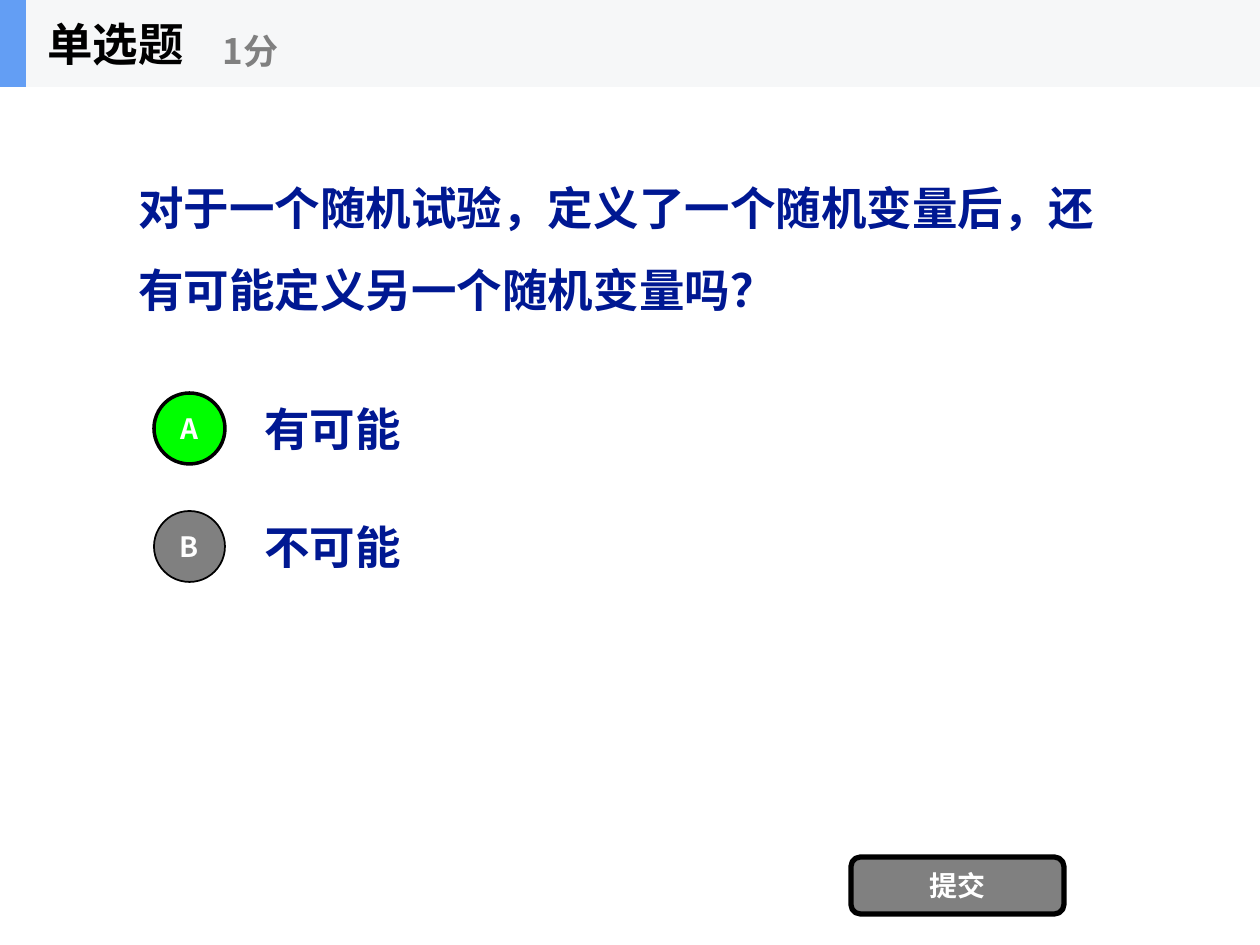
from lxml import etree
from pptx import Presentation
from pptx.dml.color import RGBColor
from pptx.enum.shapes import MSO_SHAPE
from pptx.enum.text import MSO_ANCHOR, PP_ALIGN
from pptx.oxml.ns import qn
from pptx.util import Pt

RECT = MSO_SHAPE.RECTANGLE
OVAL = MSO_SHAPE.OVAL
ROUNDED = MSO_SHAPE.ROUNDED_RECTANGLE
MIDDLE = MSO_ANCHOR.MIDDLE
LEFT, CENTER = PP_ALIGN.LEFT, PP_ALIGN.CENTER

EMU_PER_PX = 914400 / 126
FONT = "Noto Sans CJK SC"
COLORS = {
    "navy": "001892",
    "green": "00FF00",
    "gray": "808080",
    "white": "FFFFFF",
    "black": "000000",
    "header": "F6F7F8",
    "accent": "639EF4",
}


def px(n):
    return round(n * EMU_PER_PX)


def rgb(name):
    return RGBColor.from_string(COLORS[name])


class QuizSlide:
    def __init__(self, prs):
        self.s = prs.slides.add_slide(prs.slide_layouts[6])

    def set_text(self, tf, text, size, color, align, spacing=None):
        tf.word_wrap = True
        tf.vertical_anchor = MIDDLE
        p = tf.paragraphs[0]
        p.text = text
        p.alignment = align
        if spacing:
            p.line_spacing = spacing
        p.font.size = Pt(size)
        p.font.bold = True
        p.font.color.rgb = rgb(color)
        p.font.name = FONT
        etree.SubElement(p.font._element, qn("a:ea"), typeface=FONT)

    def text(self, box, text, size=26, color="navy", spacing=None):
        sp = self.s.shapes.add_textbox(*map(px, box))
        self.set_text(sp.text_frame, text, size, color, LEFT, spacing)

    def shape(self, kind, box, fill, line=0, label=None):
        sp = self.s.shapes.add_shape(kind, *map(px, box))
        sp.shadow.inherit = False
        sp.fill.solid()
        sp.fill.fore_color.rgb = rgb(fill)
        if line:
            sp.line.color.rgb = rgb("black")
            sp.line.width = Pt(line)
        else:
            sp.line.fill.background()
        if label:
            tf = sp.text_frame
            tf.margin_left = tf.margin_right = tf.margin_top = tf.margin_bottom = 0
            self.set_text(tf, label, 16, "white", CENTER)

    def option(self, y, letter, text, fill, line):
        self.text((252, y, 882, 88), text)
        self.shape(OVAL, (154, y + 9, 71, 71), fill, line, letter)


def main():
    prs = Presentation()
    prs.slide_width, prs.slide_height = px(1260), px(945)
    quiz = QuizSlide(prs)

    quiz.text((126, 87, 1008, 295),
              "对于一个随机试验，定义了一个随机变量后，还有可能定义另一个随机变量吗？",
              spacing=1.5)
    options = [("A", "有可能", "green", 2), ("B", "不可能", "gray", 1)]
    for i, option in enumerate(options):
        quiz.option(384 + 118 * i, *option)
    quiz.shape(ROUNDED, (851, 857, 213, 57), "gray", 3, "提交")

    quiz.shape(RECT, (0, 0, 1260, 87), "header")
    quiz.shape(RECT, (0, 0, 26, 87), "accent")
    quiz.text((35, 0, 262, 87), "单选题", color="black")
    quiz.text((210, 15, 315, 71), "1分", 20, "gray")

    prs.save("out.pptx")


if __name__ == "__main__":
    main()
